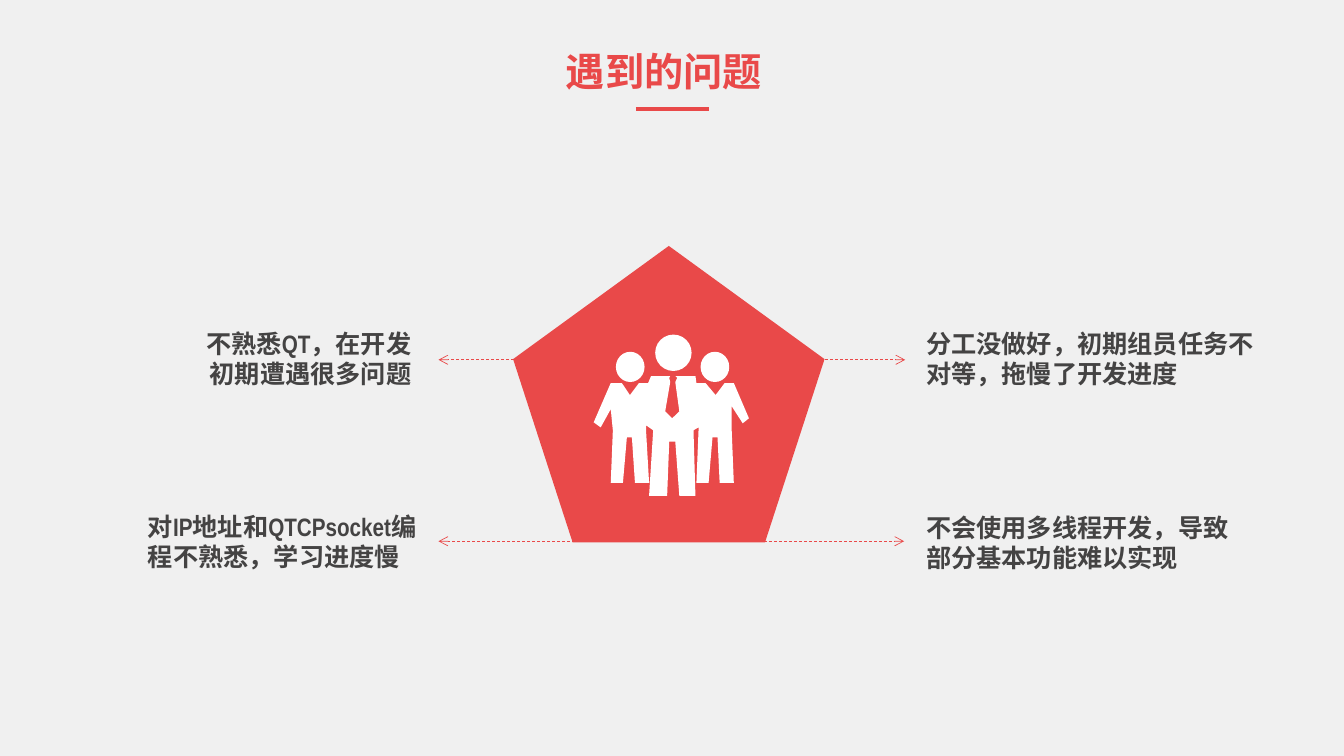
from dataclasses import dataclass

from pptx import Presentation
from pptx.dml.color import RGBColor
from pptx.enum.dml import MSO_LINE
from pptx.enum.shapes import MSO_CONNECTOR, MSO_SHAPE
from pptx.enum.text import MSO_ANCHOR, MSO_AUTO_SIZE, PP_ALIGN
from pptx.oxml.ns import qn
from pptx.util import Pt
from lxml import etree


@dataclass
class Theme:
    """Colours, font and type sizes of the slide."""
    background: RGBColor = RGBColor(0xF0, 0xF0, 0xF0)
    accent: RGBColor = RGBColor(0xE9, 0x49, 0x49)
    text: RGBColor = RGBColor(0x44, 0x43, 0x43)
    icon: RGBColor = RGBColor(0xFF, 0xFF, 0xFF)
    font: str = "Arial Narrow"
    title_size: int = 28
    body_size: int = 18


def write_text(shape, text, size, color, align):
    """Put one bold, wrapped paragraph at the top of a shape."""
    frame = shape.text_frame
    frame.text = text
    frame.word_wrap = True
    frame.auto_size = MSO_AUTO_SIZE.NONE
    frame.vertical_anchor = MSO_ANCHOR.TOP
    frame.paragraphs[0].alignment = align
    run = frame.paragraphs[0].runs[0]
    run.font.name = theme.font
    run.font.size = Pt(size)
    run.font.bold = True
    run.font.color.rgb = color
    east_asian = etree.Element(qn("a:ea"), typeface=theme.font)
    run.font._element.find(qn("a:latin")).addnext(east_asian)


def add_line(x1, x2, y, width):
    """Draw a horizontal accent line without a shadow."""
    line = slide.shapes.add_connector(
        MSO_CONNECTOR.STRAIGHT, Pt(x1), Pt(y), Pt(x2), Pt(y))
    line.line.color.rgb = theme.accent
    line.line.width = Pt(width)
    etree.SubElement(line._element.spPr, qn("a:effectLst"))
    return line


theme = Theme()
prs = Presentation()
prs.slide_width, prs.slide_height = Pt(960), Pt(540)
slide = prs.slides.add_slide(prs.slide_layouts[5])
slide.background.fill.solid()
slide.background.fill.fore_color.rgb = theme.background

# Title and its underline
title = slide.shapes.title
title.left, title.top, title.width, title.height = Pt(312.5), Pt(30.2), Pt(323.3), Pt(41)
write_text(title, "遇到的问题", theme.title_size, theme.accent, PP_ALIGN.CENTER)
add_line(454.3, 506.2, 77.8, 3)

# Pentagon, then the heads and joined bodies of the team
team_shapes = [
    (MSO_SHAPE.REGULAR_PENTAGON, 366.5, 175.7, 222.5, 211.7, theme.accent),
    (MSO_SHAPE.OVAL, 439.9, 251.3, 20.5, 21.6, theme.icon),
    (MSO_SHAPE.OVAL, 468, 239, 26, 26, theme.icon),
    (MSO_SHAPE.OVAL, 500.4, 251.3, 20.5, 21.6, theme.icon),
]
team = []
for kind, x, y, width, height, color in team_shapes:
    shape = slide.shapes.add_shape(kind, Pt(x), Pt(y), Pt(width), Pt(height))
    team.append((shape, color))

bodies = [
    (461.5, 303.8), (461.5, 307.4), (463.7, 344.9), (453.6, 344.9),
    (451.4, 312.5), (447.8, 312.5), (445, 344.9), (436.3, 344.9),
    (437.8, 307.4), (436.3, 292.3), (429.1, 305.3), (424.1, 301.7),
    (436.3, 273.6), (444.2, 273.6), (450, 282.2), (456.5, 273.6),
    (463, 273.6), (465.1, 268.6), (478.8, 268.6), (478.1, 270),
    (478.8, 272.9), (475.2, 293.8), (480.2, 298.8), (485.3, 293.8),
    (482.4, 272.9), (483.8, 270), (482.4, 268.6), (496.8, 268.6),
    (497.5, 273.6), (504, 273.6), (511.2, 282.2), (517.7, 273.6),
    (524.2, 273.6), (535, 298.8), (530.6, 302.4), (522.7, 290.2),
    (522.7, 307.4), (524.2, 344.9), (514.1, 344.9), (512.6, 312.5),
    (509, 312.5), (506.2, 344.9), (497.5, 344.9), (499, 307.4),
    (499, 305.3), (495.4, 307.4), (496.8, 354.2), (485.3, 354.2),
    (482.4, 315.4), (478.1, 315.4), (476.6, 354.2), (463.7, 354.2),
    (466.6, 307.4),
]
tenths = [(round(x * 10), round(y * 10)) for x, y in bodies]
outline = slide.shapes.build_freeform(*tenths[0], scale=Pt(0.1))
outline.add_line_segments(tenths[1:], close=True)
team.append((outline.convert_to_shape(), theme.icon))

for shape, color in team:
    shape.shadow.inherit = False
    shape.fill.solid()
    shape.fill.fore_color.rgb = color
    shape.line.fill.background()

# Arrows from the pentagon outwards
upper, lower = 257, 386.6
for start, end, y in [(575.3, 646.6, upper), (535, 645.8, lower),
                      (457.2, 313.2, lower), (424.1, 313.2, upper)]:
    arrow = add_line(start, end, y, 0.5)
    arrow.line.dash_style = MSO_LINE.DASH
    outline_xml = arrow._element.spPr.find(qn("a:ln"))
    etree.SubElement(outline_xml, qn("a:tailEnd"), type="arrow")

# Problems beside the arrows
problems = [
    ("不会使用多线程开发，导致部分基本功能难以实现", 654.5, 362.2, 247.7, PP_ALIGN.LEFT),
    ("分工没做好，初期组员任务不对等，拖慢了开发进度", 654.5, 231.1, 259.2, PP_ALIGN.LEFT),
    ("对IP地址和QTCPsocket编程不熟悉，学习进度慢", 98.6, 361.4, 214.6, PP_ALIGN.LEFT),
    ("不熟悉QT，在开发初期遭遇很多问题", 138.2, 231.1, 162.7, PP_ALIGN.RIGHT),
]
for text, x, y, width, align in problems:
    box = slide.shapes.add_textbox(Pt(x), Pt(y), Pt(width), Pt(51.1))
    write_text(box, text, theme.body_size, theme.text, align)

prs.save("out.pptx")
